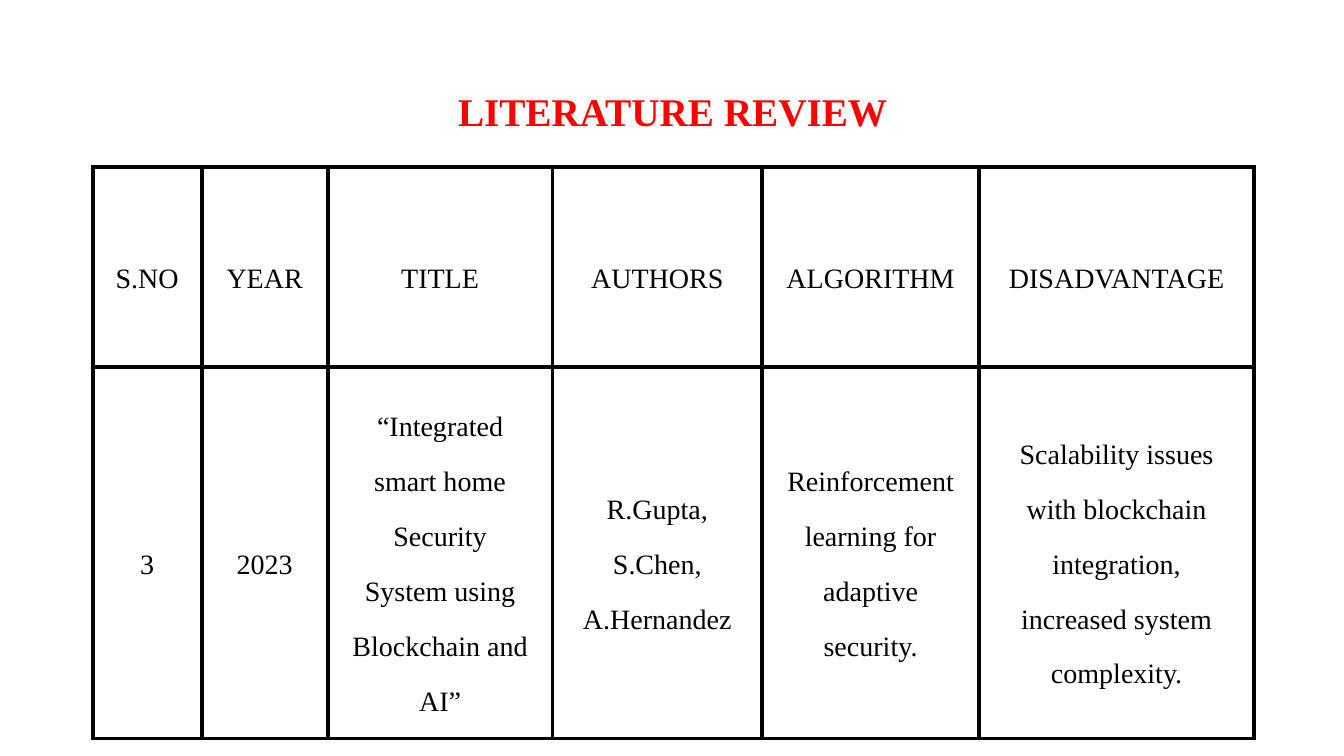
from dataclasses import dataclass

from lxml import etree
from pptx import Presentation
from pptx.dml.color import RGBColor
from pptx.enum.text import MSO_ANCHOR, MSO_AUTO_SIZE, PP_ALIGN
from pptx.oxml.ns import qn
from pptx.util import Emu, Pt

MIDDLE = MSO_ANCHOR.MIDDLE
CENTER = PP_ALIGN.CENTER
FIXED = MSO_AUTO_SIZE.NONE

SCALE = 9144
FONT = "Times New Roman"
COLORS = {"title": "FF0000", "text": "000000", "border": "000000"}
SIDES = ("a:lnL", "a:lnR", "a:lnT", "a:lnB")
INSET = 21
HEIGHTS = (198, 368)


@dataclass
class Column:
    width: int
    head: str
    body: str


COLUMNS = [
    Column(108, "S.NO", "3"),
    Column(125, "YEAR", "2023"),
    Column(223, "TITLE",
           "“Integrated smart home Security System using Blockchain and AI”"),
    Column(208, "AUTHORS", "R.Gupta,\nS.Chen,\nA.Hernandez"),
    Column(215, "ALGORITHM", "Reinforcement learning for adaptive security."),
    Column(273, "DISADVANTAGE",
           "Scalability issues with blockchain integration, "
           "increased system complexity."),
]


def px(length: int) -> Emu:
    return Emu(length * SCALE)


def write(frame, text: str, *, size: int, color: str, spacing,
          bold: bool = False) -> None:
    frame.word_wrap = True
    frame.text = text
    for para in frame.paragraphs:
        para.alignment = CENTER
        para.line_spacing = spacing
        para.space_before = para.space_after = Pt(0)
        for run in para.runs:
            run.font.name = FONT
            run.font.size = Pt(size)
            run.font.bold = bold
            run.font.color.rgb = RGBColor.from_string(COLORS[color])


def border(cell, width: int) -> None:
    props = cell._tc.get_or_add_tcPr()
    for side in SIDES:
        line = etree.SubElement(props, qn(side), w=str(Pt(width)))
        fill = etree.SubElement(line, qn("a:solidFill"))
        etree.SubElement(fill, qn("a:srgbClr"), val=COLORS["border"])


def fill_cell(cell, text: str) -> None:
    cell.margin_left = cell.margin_right = px(INSET)
    cell.margin_top = cell.margin_bottom = px(INSET)
    cell.vertical_anchor = MIDDLE
    write(cell.text_frame, text, size=20, color="text", spacing=Pt(39.2))
    border(cell, 3)
    cell.fill.background()


def add_title(slide, text: str) -> None:
    title = slide.shapes.title
    title.left, title.top = px(92), px(40)
    title.width, title.height = px(1150), px(145)
    frame = title.text_frame
    frame.auto_size = FIXED
    frame.vertical_anchor = MIDDLE
    write(frame, text, size=28, color="title", spacing=0.9, bold=True)


def add_review(slide, columns: list[Column]) -> None:
    width = sum(column.width for column in columns)
    table = slide.shapes.add_table(
        len(HEIGHTS), len(columns), px(92), px(166),
        px(width), px(sum(HEIGHTS))).table
    table.first_row = table.horz_banding = False
    for row, height in zip(table.rows, HEIGHTS):
        row.height = px(height)
    for index, column in enumerate(columns):
        table.columns[index].width = px(column.width)
        for row, text in enumerate((column.head, column.body)):
            fill_cell(table.cell(row, index), text)


def main() -> None:
    deck = Presentation()
    deck.slide_width, deck.slide_height = px(1333), px(750)
    slide = deck.slides.add_slide(deck.slide_layouts[5])
    add_title(slide, "LITERATURE REVIEW")
    add_review(slide, COLUMNS)
    deck.save("out.pptx")


if __name__ == "__main__":
    main()
